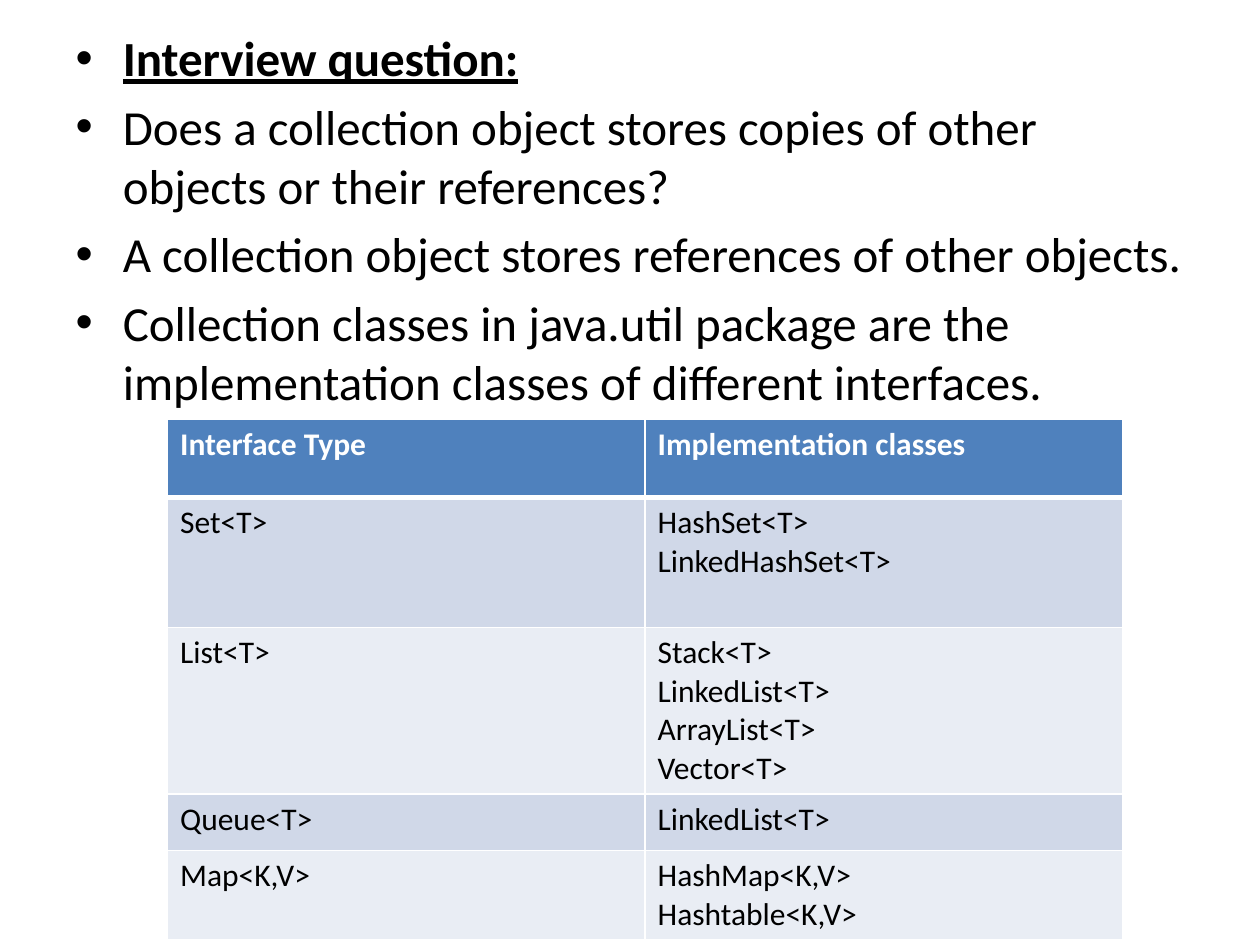
import pptx
import pptx.dml.color
import pptx.enum.text
import pptx.oxml
import pptx.oxml.ns
import pptx.util
from pptx.dml.color import RGBColor
from pptx.util import Inches

BLACK = RGBColor(0x00, 0x00, 0x00)
WHITE = RGBColor(0xFF, 0xFF, 0xFF)
HEADER_BLUE = RGBColor(0x4F, 0x81, 0xBD)
BANDS = (RGBColor(0xD0, 0xD8, 0xE8), RGBColor(0xE9, 0xED, 0xF4))

POINTS = [
    "Interview question:",
    "Does a collection object stores copies of other objects or their references?",
    "A collection object stores references of other objects.",
    "Collection classes in java.util package are the implementation classes "
    "of different interfaces.",
]
COLLECTIONS = [
    ("Interface Type", "Implementation classes"),
    ("Set<T>", "HashSet<T>\nLinkedHashSet<T>"),
    ("List<T>", "Stack<T>\nLinkedList<T>\nArrayList<T>\nVector<T>"),
    ("Queue<T>", "LinkedList<T>"),
    ("Map<K,V>", "HashMap<K,V>\nHashtable<K,V>"),
]
ROW_HEIGHTS = (0.62, 1.03, 1.32, 0.45, 0.71)


class SlideBuilder:
    font_name = "Calibri"

    def __init__(self, slide):
        self.slide = slide

    def style(self, text_frame, size, color, bold=False):
        for paragraph in text_frame.paragraphs:
            for run in paragraph.runs:
                run.font.name = self.font_name
                run.font.size = pptx.util.Pt(size)
                run.font.color.rgb = color
                run.font.bold = bold

    def bullets(self, points, left, top, width, height):
        body = self.slide.placeholders[1]
        body.left, body.top = Inches(left), Inches(top)
        body.width, body.height = Inches(width), Inches(height)
        frame = body.text_frame
        frame.text = "\n".join(points)
        frame.auto_size = pptx.enum.text.MSO_AUTO_SIZE.NONE
        self.style(frame, 28, BLACK)
        heading = frame.paragraphs[0].runs[0].font
        heading.bold = heading.underline = True

    def borders(self, cell, bottom_width):
        properties = cell._tc.get_or_add_tcPr()
        widths = {"lnL": 1, "lnR": 1, "lnT": 1, "lnB": bottom_width}
        for position, (side, width) in enumerate(widths.items()):
            properties.insert(position, pptx.oxml.parse_xml(
                f'<a:{side} {pptx.oxml.ns.nsdecls("a")} w="{pptx.util.Pt(width)}">'
                f'<a:solidFill><a:srgbClr val="{WHITE}"/></a:solidFill></a:{side}>'
            ))

    def table(self, rows, row_heights, left, top, width):
        table = self.slide.shapes.add_table(
            len(rows), len(rows[0]), Inches(left), Inches(top),
            Inches(width), Inches(sum(row_heights)),
        ).table
        for index, (texts, height) in enumerate(zip(rows, row_heights)):
            table.rows[index].height = Inches(height)
            is_header = index == 0
            for column, text in enumerate(texts):
                cell = table.cell(index, column)
                cell.text_frame.text = text
                self.style(cell.text_frame, 18, WHITE if is_header else BLACK, is_header)
                cell.fill.solid()
                cell.fill.fore_color.rgb = HEADER_BLUE if is_header else BANDS[(index - 1) % 2]
                self.borders(cell, 3 if is_header else 1)


def main():
    presentation = pptx.Presentation()
    presentation.slide_width = Inches(10)
    presentation.slide_height = Inches(7.5)
    slide = presentation.slides.add_slide(presentation.slide_layouts[1])
    unused_title = slide.shapes.title.element
    unused_title.getparent().remove(unused_title)

    builder = SlideBuilder(slide)
    builder.bullets(POINTS, 0.5, 0.17, 9, 6.53)
    builder.table(COLLECTIONS, ROW_HEIGHTS, 1.33, 3.33, 7.58)
    presentation.save("out.pptx")


if __name__ == "__main__":
    main()
